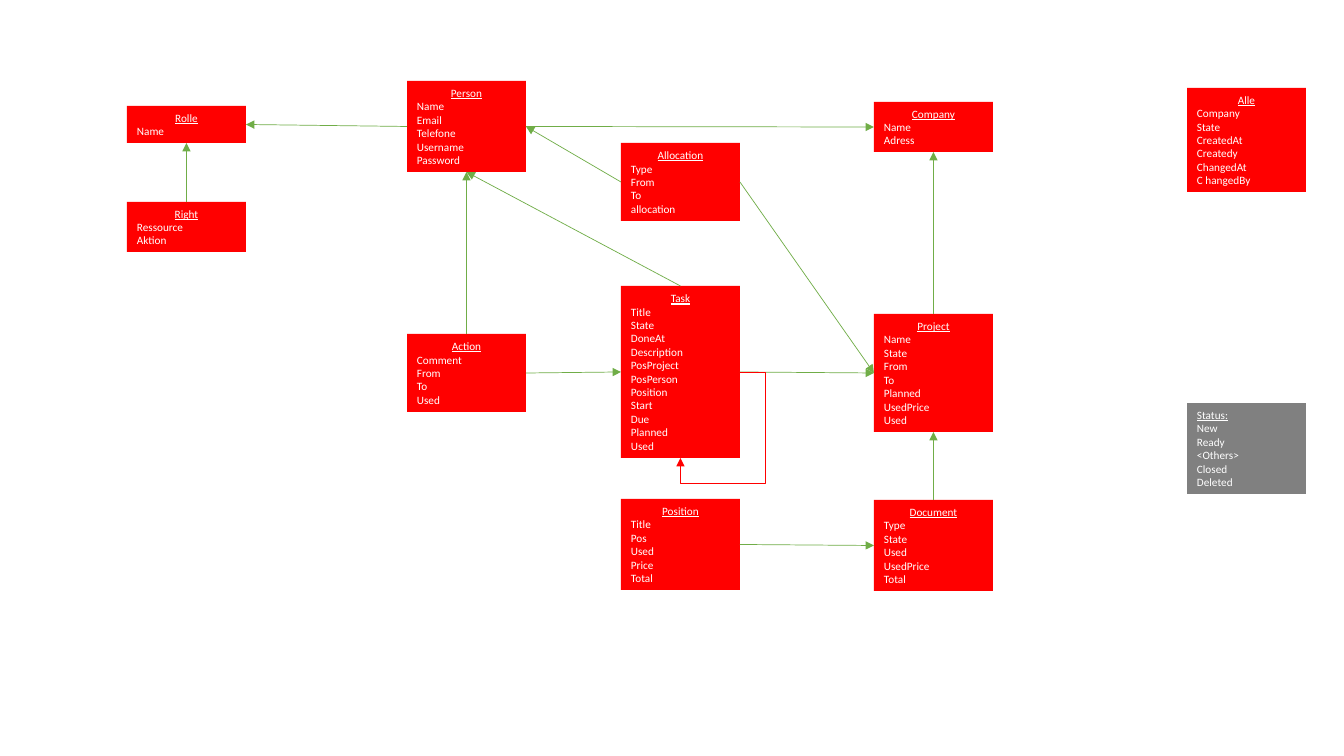
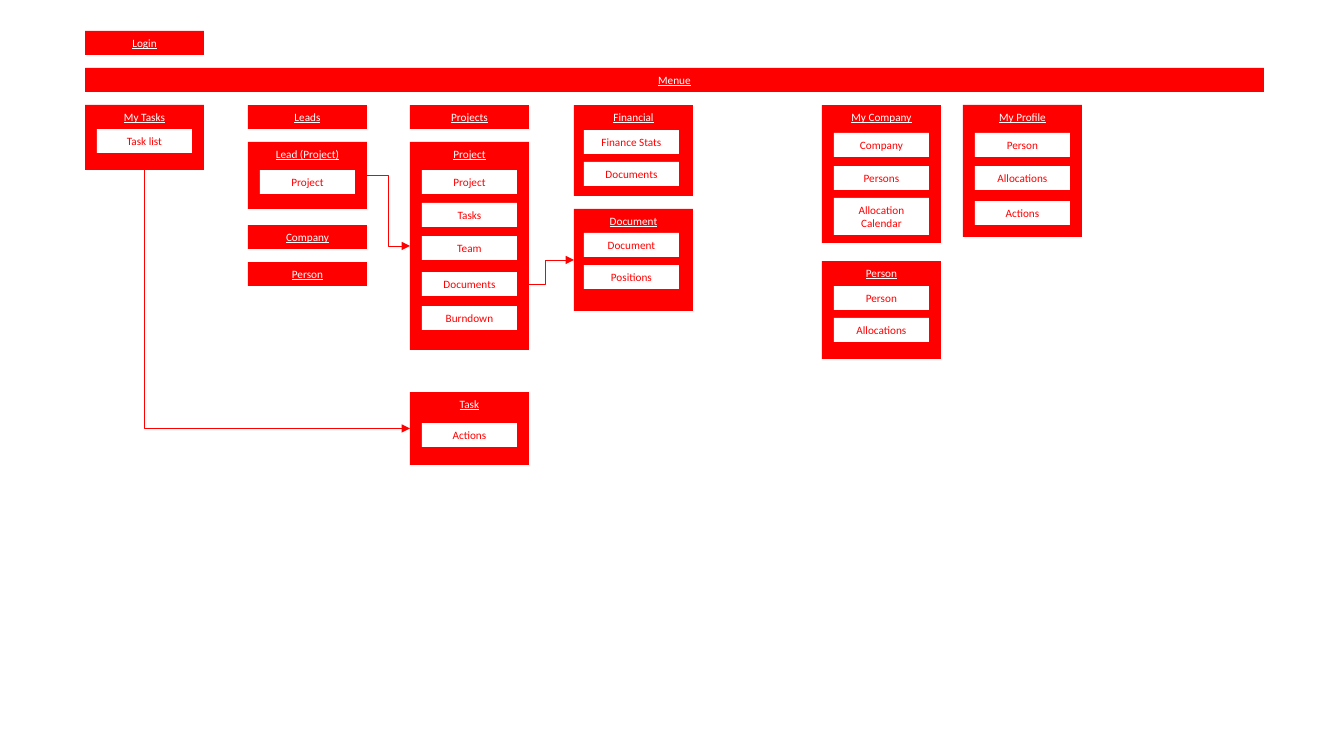
"""Draw an entity diagram and the matching screen map."""
from dataclasses import dataclass

from pptx import Presentation
from pptx import util as u
from pptx.dml.color import RGBColor
from pptx.enum import shapes, text
from pptx.oxml.ns import qn
from lxml import etree

SCALE = 914400 / 100.8
BOX_W, CELL_W = 119, 95
TOP, LEFT, BOTTOM, RIGHT = range(4)


@dataclass(frozen=True)
class Theme:
    red: RGBColor = RGBColor(0xFF, 0x00, 0x00)
    grey: RGBColor = RGBColor(0x80, 0x80, 0x80)
    white: RGBColor = RGBColor(0xFF, 0xFF, 0xFF)
    green: RGBColor = RGBColor(0x70, 0xAD, 0x47)
    font: str = "Calibri"
    size: u.Pt = u.Pt(8)
    line: u.Pt = u.Pt(0.5)


THEME = Theme()
CENTER, START = text.PP_ALIGN.CENTER, text.PP_ALIGN.LEFT

ENTITIES = [
    ("Person", 407, 81, "Name Email Telefone Username Password"),
    ("Company", 874, 102, "Name Adress"),
    ("Rolle", 127, 106, "Name"),
    ("Right", 127, 202, "Ressource Aktion"),
    ("Project", 874, 314, "Name State From To Planned UsedPrice Used"),
    ("Task", 621, 286, "Title State DoneAt Description PosProject PosPerson "
                       "Position Start Due Planned Used"),
    ("Action", 407, 334, "Comment From To Used"),
    ("Allocation", 621, 143, "Type From To allocation"),
    ("Document", 874, 500, "Type State Used UsedPrice Total"),
    ("Position", 621, 499, "Title Pos Used Price Total"),
]
RELATIONS = [
    ("Person", RIGHT, "Company", LEFT),
    ("Person", LEFT, "Rolle", RIGHT),
    ("Right", TOP, "Rolle", BOTTOM),
    ("Project", TOP, "Company", BOTTOM),
    ("Task", RIGHT, "Project", LEFT),
    ("Task", TOP, "Person", BOTTOM),
    ("Action", RIGHT, "Task", LEFT),
    ("Action", TOP, "Person", BOTTOM),
    ("Allocation", LEFT, "Person", RIGHT),
    ("Allocation", RIGHT, "Project", LEFT),
    ("Document", TOP, "Project", BOTTOM),
    ("Position", RIGHT, "Document", LEFT),
]
BARS = [
    ("Login", 85, 31, BOX_W),
    ("Menue", 85, 68, 1179),
    ("Leads", 248, 105, BOX_W),
    ("Company", 248, 225, BOX_W),
    ("Person", 248, 262, BOX_W),
    ("Projects", 410, 105, BOX_W),
]
PANELS = {
    "my tasks": ("My Tasks", 85, 105, 65, 12, [("Task list", 129)]),
    "lead": ("Lead (Project)", 248, 142, 67, 12, [("Project", 170)]),
    "project": ("Project", 410, 142, 208, 12, [
        ("Project", 170), ("Tasks", 203), ("Team", 236), ("Documents", 272), ("Burndown", 306)]),
    "task": ("Task", 410, 392, 73, 12, [("Actions", 423)]),
    "financial": ("Financial", 574, 105, 91, 10, [("Finance Stats", 130), ("Documents", 162)]),
    "document": ("Document", 574, 209, 102, 10, [("Document", 233), ("Positions", 265)]),
    "my company": ("My Company", 822, 105, 138, 12, [
        ("Company", 133), ("Persons", 166), ("Allocation Calendar", 198)]),
    "person": ("Person", 822, 261, 98, 12, [("Person", 286), ("Allocations", 318)]),
    "my profile": ("My Profile", 963, 105, 132, 12, [
        ("Person", 133), ("Allocations", 166), ("Actions", 201)]),
}


def px(n):
    return u.Emu(round(n * SCALE))


def text_height(lines):
    return round(10 + 13.5 * lines)


def add_box(s, lines, x, y, w, h, fill=THEME.red, color=THEME.white,
            underline=True, head_align=CENTER, fit=True):
    sp = s.shapes.add_shape(shapes.MSO_SHAPE.RECTANGLE, px(x), px(y), px(w), px(h))
    sp.shadow.inherit = False
    sp.fill.solid()
    sp.fill.fore_color.rgb = fill
    sp.line.fill.background()
    tf = sp.text_frame
    tf.word_wrap = True
    tf.vertical_anchor = text.MSO_ANCHOR.MIDDLE if fit else text.MSO_ANCHOR.TOP
    tf.auto_size = text.MSO_AUTO_SIZE.SHAPE_TO_FIT_TEXT if fit else text.MSO_AUTO_SIZE.NONE
    tf.text = "\n".join(lines)
    for i, p in enumerate(tf.paragraphs):
        p.alignment = START if i else head_align
        p.font.name, p.font.size = THEME.font, THEME.size
        p.font.color.rgb = color
        p.font.underline = underline and i == 0
    return sp


def add_entity(s, name, x, y, fields, **style):
    lines = [name, *fields]
    return add_box(s, lines, x, y, BOX_W, text_height(len(lines)), **style)


def add_panel(s, title, x, y, h, inset, cells):
    panel = add_box(s, [title], x, y, BOX_W, h, fit=False)
    boxes = {}
    for label, top in cells:
        rows = 2 if len(label) > 15 else 1
        boxes[label] = add_box(s, [label], x + inset, top, CELL_W, text_height(rows),
                               fill=THEME.white, color=THEME.red, underline=False)
    return panel, boxes


def add_arrow(s, start, start_site, end, end_site, color=THEME.red,
              kind=shapes.MSO_CONNECTOR.ELBOW, preset=None, adjust=(), arrow_end="tailEnd"):
    cn = s.shapes.add_connector(kind, 0, 0, 0, 0)
    cn.begin_connect(start, start_site)
    cn.end_connect(end, end_site)
    cn.line.color.rgb = color
    cn.line.width = THEME.line
    etree.SubElement(cn.line._get_or_add_ln(), qn("a:" + arrow_end), type="triangle")
    sp_pr = cn._element.spPr
    etree.SubElement(sp_pr, qn("a:effectLst"))
    geom = sp_pr.find(qn("a:prstGeom"))
    if preset:
        geom.set("prst", preset)
    for i, value in enumerate(adjust, 1):
        etree.SubElement(geom.find(qn("a:avLst")), qn("a:gd"),
                         name=f"adj{i}", fmla=f"val {value}")
    return cn


def build_entities(s):
    boxes = {name: add_entity(s, name, x, y, fields.split())
             for name, x, y, fields in ENTITIES}
    add_entity(s, "Alle", 1187, 88,
               ["Company", "State", "CreatedAt", "Createdy", "ChangedAt", "C hangedBy"])
    add_entity(s, "Status:", 1187, 403, ["New", "Ready", "<Others>", "Closed", "Deleted"],
               fill=THEME.grey, head_align=START)
    for start, start_site, end, end_site in RELATIONS:
        add_arrow(s, boxes[start], start_site, boxes[end], end_site, THEME.green,
                  shapes.MSO_CONNECTOR.STRAIGHT)
    add_arrow(s, boxes["Task"], RIGHT, boxes["Task"], BOTTOM,
              preset="bentConnector4", adjust=(-42500, 129100))


def build_screens(s):
    for label, x, y, w in BARS:
        add_box(s, [label], x, y, w, text_height(1))
    screens = {key: add_panel(s, *panel) for key, panel in PANELS.items()}
    project, project_cells = screens["project"]
    add_arrow(s, screens["task"][0], LEFT, screens["my tasks"][0], BOTTOM,
              preset="bentConnector2", arrow_end="headEnd")
    add_arrow(s, screens["lead"][0], RIGHT, project, LEFT)
    add_arrow(s, project_cells["Documents"], RIGHT, screens["document"][0], LEFT)


def main():
    prs = Presentation()
    prs.slide_width, prs.slide_height = px(1344), px(756)
    for build in (build_entities, build_screens):
        build(prs.slides.add_slide(prs.slide_layouts[6]))
    prs.save("out.pptx")


main()
